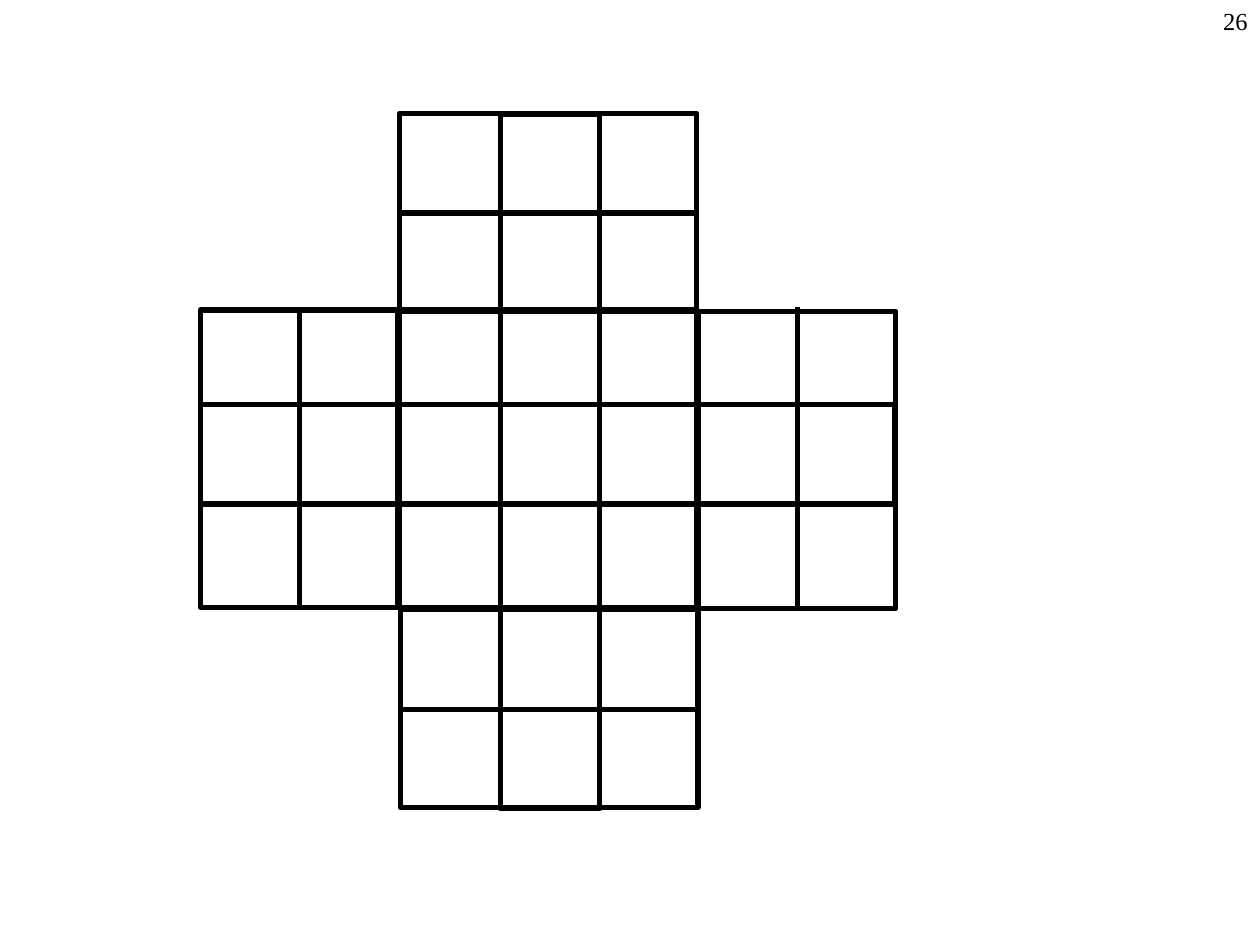
from lxml import etree
from pptx import Presentation
from pptx.dml.color import RGBColor
from pptx.enum.shapes import MSO_CONNECTOR, MSO_SHAPE
from pptx.enum.text import PP_ALIGN
from pptx.oxml.ns import qn
from pptx.util import Inches, Pt

RECTANGLE = MSO_SHAPE.RECTANGLE
STRAIGHT = MSO_CONNECTOR.STRAIGHT
RIGHT = PP_ALIGN.RIGHT

COLORS = {"ink": "000000"}
FONT = "Times New Roman"
BLANK_LAYOUT = 6
GRID_WEIGHT = 3

# left, top, width, height of each outline of the cross-shaped board
BOARD_BLOCKS = [
    (3.17, 2.46, 2.36, 2.36),  # centre
    (1.59, 3.21, 5.51, 0.79),  # middle row
    (3.97, 0.91, 0.79, 5.51),  # middle column
    (1.59, 2.46, 1.57, 2.36),  # left arm
    (5.54, 2.47, 1.57, 2.36),  # right arm
    (3.18, 4.84, 2.36, 1.57),  # bottom arm
    (3.17, 0.9, 2.36, 1.57),  # top arm
]
# start x, start y, end x, end y of the line that halves each arm
ARM_DIVIDERS = [
    (2.38, 2.44, 2.38, 4.84),
    (6.33, 2.44, 6.33, 4.85),
    (3.15, 1.69, 5.55, 1.69),
    (3.16, 5.63, 5.56, 5.63),
]
DOT = (5.21, 6.92, 5.21, 6.92)


def ink():
    return RGBColor.from_string(COLORS["ink"])


def set_line(shape, weight):
    shape.line.color.rgb = ink()
    shape.line.width = Pt(weight)


def add_block(shapes, bounds):
    block = shapes.add_shape(RECTANGLE, *map(Inches, bounds))
    block.shadow.inherit = False
    block.fill.background()
    set_line(block, GRID_WEIGHT)


def add_line(shapes, ends, weight):
    line = shapes.add_connector(STRAIGHT, *map(Inches, ends))
    set_line(line, weight)
    etree.SubElement(line._element.spPr, qn("a:effectLst"))


def add_board(page):
    board = page.shapes.add_group_shape()
    for bounds in BOARD_BLOCKS:
        add_block(board.shapes, bounds)
    for ends in ARM_DIVIDERS:
        add_line(board.shapes, ends, GRID_WEIGHT)


def add_page_number(page, number):
    box = page.shapes.add_textbox(Inches(7.92), 0, Inches(2.08), Inches(0.5))
    box.text_frame.word_wrap = True
    para = box.text_frame.paragraphs[0]
    para.text = number
    para.alignment = RIGHT
    para.font.name = FONT
    para.font.size = Pt(14)
    para.font.color.rgb = ink()


def main():
    deck = Presentation()
    deck.slide_width = Inches(10)
    deck.slide_height = Inches(7.5)
    page = deck.slides.add_slide(deck.slide_layouts[BLANK_LAYOUT])
    add_line(page.shapes, DOT, 0.75)
    add_board(page)
    add_page_number(page, "26")
    deck.save("out.pptx")


if __name__ == "__main__":
    main()
